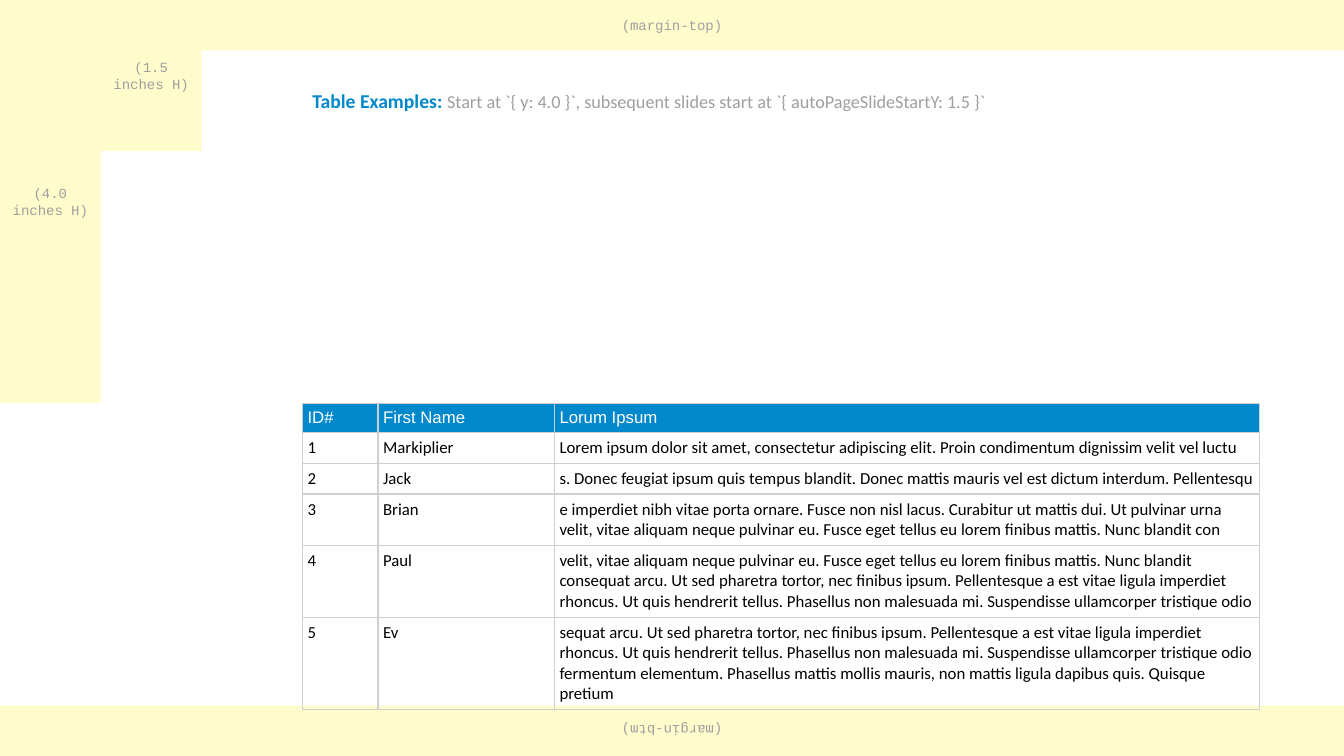
from lxml import etree
from pptx import Presentation
from pptx.dml.color import RGBColor
from pptx.enum.shapes import MSO_SHAPE
from pptx.enum.text import MSO_ANCHOR, MSO_AUTO_SIZE, PP_ALIGN
from pptx.oxml.ns import qn
from pptx.util import Cm, Pt

RECT = MSO_SHAPE.RECTANGLE
MIDDLE, TOP = MSO_ANCHOR.MIDDLE, MSO_ANCHOR.TOP
LEFT, CENTER = PP_ALIGN.LEFT, PP_ALIGN.CENTER
FIXED = MSO_AUTO_SIZE.NONE

CREAM = RGBColor(0xFF, 0xFC, 0xCC)
GREY = RGBColor(0x9F, 0x9F, 0x9F)
BLUE = RGBColor(0x00, 0x88, 0xCC)
WHITE = RGBColor(0xFF, 0xFF, 0xFF)
BLACK = RGBColor(0x00, 0x00, 0x00)
RULE = "CFCFCF"

WIDE, HIGH = 33.87, 19.05
UNIT = 2.54
MARGIN = UNIT / 2

BANDS = [
    ("(4.0 inches H)", (0, 0, UNIT, 4 * UNIT), 0),
    ("(1.5 inches H)", (UNIT, 0, UNIT, 1.5 * UNIT), 0),
    ("(margin-top)", (0, 0, WIDE, MARGIN), 0),
    ("(margin-btm)", (0, HIGH - MARGIN, WIDE, MARGIN), 180),
]
HEADS = ["ID#", "First Name", "Lorum Ipsum"]
SHARES = [0.75, 1.75, 7]
PEOPLE = [
    ("Markiplier", 1,
     "Lorem ipsum dolor sit amet, consectetur adipiscing elit. Proin condimentum "
     "dignissim velit vel luctu"),
    ("Jack", 1,
     "s. Donec feugiat ipsum quis tempus blandit. Donec mattis mauris vel est "
     "dictum interdum. Pellentesqu"),
    ("Brian", 2,
     "e imperdiet nibh vitae porta ornare. Fusce non nisl lacus. Curabitur ut "
     "mattis dui. Ut pulvinar urna velit, vitae aliquam neque pulvinar eu. Fusce "
     "eget tellus eu lorem finibus mattis. Nunc blandit con"),
    ("Paul", 3,
     "velit, vitae aliquam neque pulvinar eu. Fusce eget tellus eu lorem finibus "
     "mattis. Nunc blandit consequat arcu. Ut sed pharetra tortor, nec finibus "
     "ipsum. Pellentesque a est vitae ligula imperdiet rhoncus. Ut quis hendrerit "
     "tellus. Phasellus non malesuada mi. Suspendisse ullamcorper tristique odio"),
    ("Ev", 4,
     "sequat arcu. Ut sed pharetra tortor, nec finibus ipsum. Pellentesque a est "
     "vitae ligula imperdiet rhoncus. Ut quis hendrerit tellus. Phasellus non "
     "malesuada mi. Suspendisse ullamcorper tristique odio fermentum elementum. "
     "Phasellus mattis mollis mauris, non mattis ligula dapibus quis. Quisque "
     "pretium"),
]


def write(frame, text, size=12, font="Calibri", color=BLACK, bold=False, align=LEFT):
    line = frame.paragraphs[0]
    line.alignment = align
    run = line.add_run()
    run.text = text
    run.font.size = Pt(size)
    run.font.name = font
    run.font.bold = bold
    run.font.color.rgb = color


def add_band(slide, text, box, turn):
    band = slide.shapes.add_shape(RECT, *map(Cm, box))
    band.shadow.inherit = False
    band.fill.solid()
    band.fill.fore_color.rgb = CREAM
    band.line.fill.background()
    band.rotation = turn
    band.text_frame.vertical_anchor = MIDDLE
    write(band.text_frame, text, size=10, font="Courier New", color=GREY, align=CENTER)


def add_title(slide, box):
    title = slide.shapes.title
    title.left, title.top, title.width, title.height = map(Cm, box)
    frame = title.text_frame
    frame.word_wrap = True
    frame.auto_size = FIXED
    frame.vertical_anchor = MIDDLE
    write(frame, "Table Examples: ", size=14, color=BLUE, bold=True)
    write(frame, "Start at `{ y: 4.0 }`, subsequent slides start at "
          "`{ autoPageSlideStartY: 1.5 }`", size=13, color=GREY)


def add_rules(cell):
    props = cell._tc.get_or_add_tcPr()
    for side in ("a:lnL", "a:lnR", "a:lnT", "a:lnB"):
        edge = etree.SubElement(props, qn(side), w=str(Pt(1)))
        fill = etree.SubElement(edge, qn("a:solidFill"))
        etree.SubElement(fill, qn("a:srgbClr"), val=RULE)


def fill_cell(cell, text, head):
    inset = Cm(0.13)
    cell.margin_left = cell.margin_right = inset
    cell.margin_top = cell.margin_bottom = inset
    cell.vertical_anchor = MIDDLE if head else TOP
    add_rules(cell)
    if head:
        cell.fill.solid()
        cell.fill.fore_color.rgb = BLUE
        write(cell.text_frame, text, font="Arial", color=WHITE)
    else:
        cell.fill.background()
        write(cell.text_frame, text)


def add_grid(slide, box):
    rows = [HEADS] + [(str(i), name, text)
                      for i, (name, _, text) in enumerate(PEOPLE, 1)]
    lines = [1] + [count for _, count, _ in PEOPLE]
    grid = slide.shapes.add_table(len(rows), len(HEADS), *map(Cm, box)).table
    grid.first_row = False
    grid.horz_banding = False
    for column, share in zip(grid.columns, SHARES):
        column.width = Cm(box[2] * share / sum(SHARES))
    for r, (row, count) in enumerate(zip(rows, lines)):
        grid.rows[r].height = Cm(0.22 + 0.51 * count)
        for c, text in enumerate(row):
            fill_cell(grid.cell(r, c), text, r == 0)


def main():
    deck = Presentation()
    deck.slide_width, deck.slide_height = Cm(WIDE), Cm(HIGH)
    slide = deck.slides.add_slide(deck.slide_layouts[5])
    for text, box, turn in BANDS:
        add_band(slide, text, box, turn)
    add_title(slide, (3 * UNIT, 0.75 * UNIT, 10 * UNIT, MARGIN))
    add_grid(slide, (3 * UNIT, 4 * UNIT, 9.5 * UNIT, 3 * UNIT))
    deck.save("out.pptx")


if __name__ == "__main__":
    main()
